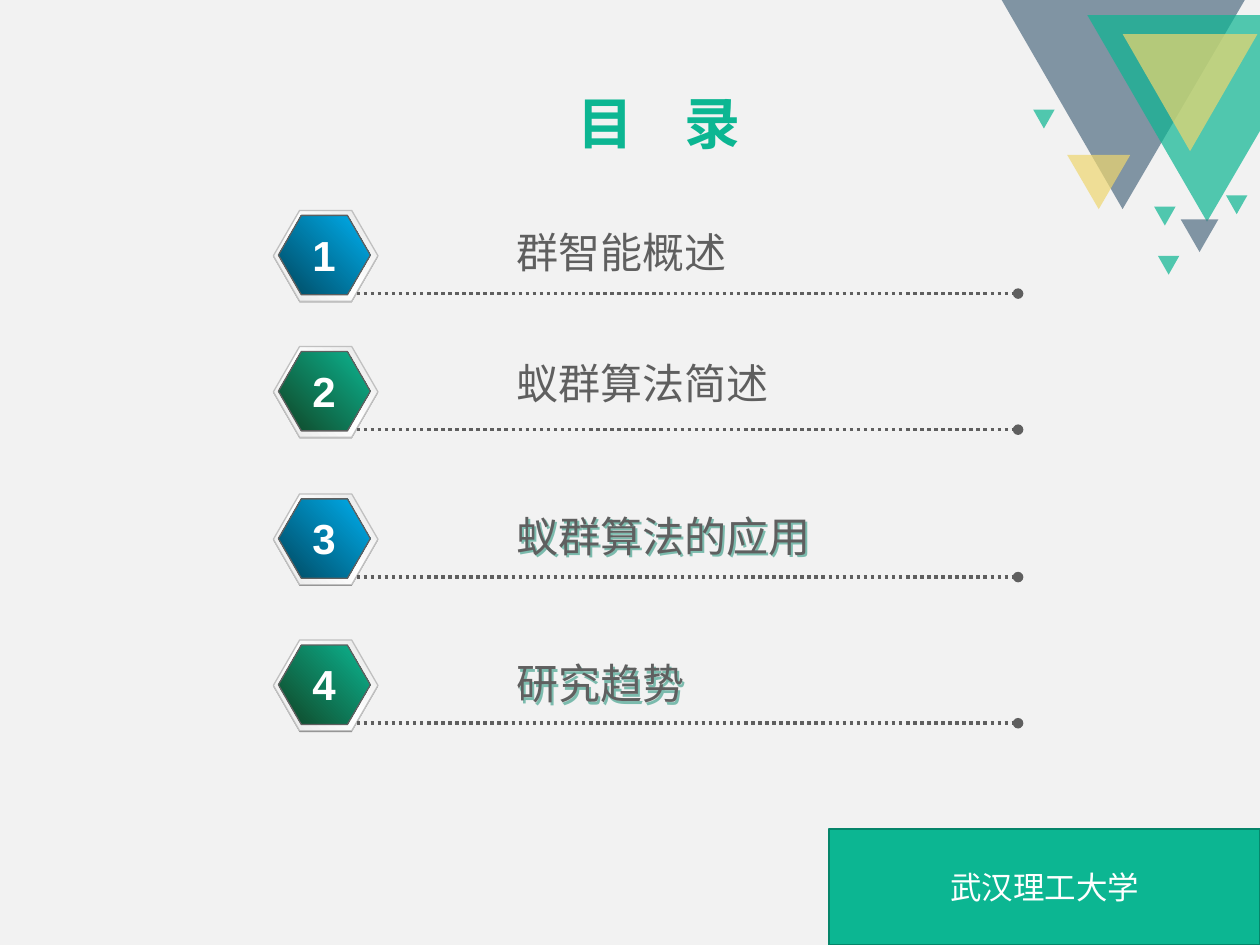
from pptx import Presentation
from pptx.dml.color import RGBColor
from pptx.enum import dml, shapes, text
from pptx.oxml import ns, xmlchemy
from pptx.util import Inches, Pt
from copy import deepcopy

BACKDROP = RGBColor(0xF2, 0xF2, 0xF2)
GREEN = RGBColor(0x0C, 0xB6, 0x92)
DARK_GREEN = RGBColor(0x10, 0x44, 0x25)
EDGE_GREEN = RGBColor(0x06, 0x85, 0x6A)
BLUE = RGBColor(0x00, 0xB0, 0xF0)
DARK_BLUE = RGBColor(0x00, 0x47, 0x5E)
SLATE = RGBColor(0x51, 0x6D, 0x82)
YELLOW = RGBColor(0xEE, 0xD6, 0x6F)
GREY = RGBColor(0x5F, 0x5F, 0x5F)
MID_GREY = RGBColor(0x80, 0x80, 0x80)
RIM_LINE = RGBColor(0xC0, 0xC0, 0xC0)
RIM = RGBColor(0xE6, 0xE6, 0xE6)
WHITE = RGBColor(0xFF, 0xFF, 0xFF)
HAN, LATIN = "Noto Sans CJK SC", "Arial"


def add_child(parent, tag, **attributes):
    child = xmlchemy.OxmlElement(tag)
    for key, value in attributes.items():
        child.set(key, str(value))
    parent.append(child)
    return child


def format_runs(paragraph, font_name, size, color, bold=False):
    for run in paragraph.runs:
        font = run.font
        font.name, font.size, font.bold = font_name, Pt(size), bold
        font.color.rgb = color
        add_child(run._r.get_or_add_rPr(), "a:ea", typeface=font_name)


def fill_translucent(shape, color):
    shape.shadow.inherit = False
    shape.fill.solid()
    shape.fill.fore_color.rgb = color
    shape.line.fill.background()
    srgb = shape._element.spPr.find(".//" + ns.qn("a:srgbClr"))
    add_child(srgb, "a:alpha", val=70000)


def fill_gradient(shape, colors):
    """Spread the colours evenly from bottom left to top right."""
    shape.fill.gradient()
    shape.fill.gradient_angle = 45
    stops = shape._element.spPr.find(".//" + ns.qn("a:gsLst"))
    while len(stops) < len(colors):
        stops.append(deepcopy(stops[-1]))
    for index, (stop, color) in enumerate(zip(shape.fill.gradient_stops, colors)):
        stop.color.rgb = color
        stop.position = index / (len(colors) - 1)


def add_corner_triangles(slide, left, top):
    cluster = slide.shapes.add_group_shape().shapes
    outlines = [
        (SLATE, [(0, 0), (1.93, 0), (0.96, 1.66)]),
        (GREEN, [(0.68, 0.12), (2.05, 0.12), (2.05, 1.04), (1.63, 1.76)]),
    ]
    for color, points in outlines:
        start, *rest = [(left + Inches(x), top + Inches(y)) for x, y in points]
        builder = cluster.build_freeform(*start)
        builder.add_line_segments(rest)
        fill_translucent(builder.convert_to_shape(), color)

    small = (0.17, 0.15)
    triangles = [
        (YELLOW, 0.96, 0.27, 1.07, 0.93),
        (YELLOW, 0.52, 1.23, 0.5, 0.43),
        (GREEN, 1.78, 1.55, *small),
        (GREEN, 1.24, 2.03, *small),
        (GREEN, 1.21, 1.64, *small),
        (SLATE, 1.42, 1.74, 0.3, 0.26),
        (GREEN, 0.25, 0.87, *small),
    ]
    for color, x, y, width, height in triangles:
        triangle = cluster.add_shape(
            shapes.MSO_SHAPE.ISOSCELES_TRIANGLE,
            left + Inches(x), top + Inches(y), Inches(width), Inches(height))
        triangle.rotation = 180
        fill_translucent(triangle, color)


def add_heading(slide, left, top, width, height):
    title = slide.shapes.title
    title.left, title.top, title.width, title.height = left, top, width, height
    frame = title.text_frame
    frame.vertical_anchor = text.MSO_ANCHOR.BOTTOM
    paragraph = frame.paragraphs[0]
    paragraph.alignment = text.PP_ALIGN.CENTER
    paragraph.line_spacing = 0.9
    for part in ("目 ", "录"):
        paragraph.add_run().text = part
    format_runs(paragraph, HAN, 32, GREEN, bold=True)
    # Letter spacing widens the gap between the two characters
    paragraph.runs[0]._r.get_or_add_rPr().set("spc", "1080")


def add_hexagon(badge, left, top, width, height):
    hexagon = badge.add_shape(shapes.MSO_SHAPE.HEXAGON, left, top, width, height)
    hexagon.shadow.inherit = False
    hexagon.adjustments[0], hexagon.adjustments[1] = 0.289, 1.155
    return hexagon


def add_badge(slide, left, top, number, colors):
    """Numbered hexagon with the dotted rule that runs from its foot."""
    badge = slide.shapes.add_group_shape().shapes
    size = Inches(0.83), Inches(0.72)
    under = add_hexagon(badge, left, top + Inches(0.01), *size)
    under.fill.solid()
    under.fill.fore_color.rgb = MID_GREY
    under.line.fill.background()

    rim = add_hexagon(badge, left, top, *size)
    fill_gradient(rim, (RIM, WHITE, RIM))
    core = add_hexagon(badge, left + Inches(0.04), top + Inches(0.04),
                       Inches(0.73), Inches(0.63))
    fill_gradient(core, colors)
    for hexagon, color in ((rim, RIM_LINE), (core, GREY)):
        hexagon.line.color.rgb = color
        hexagon.line.width = Pt(0.75)

    y = top + Inches(0.66)
    rule = badge.add_connector(shapes.MSO_CONNECTOR.STRAIGHT,
                               left + Inches(0.66), y, left + Inches(5.91), y)
    rule.line.color.rgb = GREY
    rule.line.width = Pt(2)
    rule.line.dash_style = dml.MSO_LINE.ROUND_DOT
    add_child(rule.line._get_or_add_ln(), "a:tailEnd", type="oval")
    add_child(rule._element.spPr, "a:effectLst")

    digit = badge.add_textbox(left + Inches(0.21), top + Inches(0.1),
                              Inches(0.38), Inches(0.5)).text_frame
    digit.word_wrap = False
    digit.text = str(number)
    digit.paragraphs[0].alignment = text.PP_ALIGN.CENTER
    format_runs(digit.paragraphs[0], LATIN, 24, WHITE, bold=True)


def add_topic(slide, left, top, topic, shadowed):
    box = slide.shapes.add_textbox(left, top, Inches(3.6), Inches(0.5))
    box.text_frame.word_wrap = True
    box.text_frame.text = topic
    format_runs(box.text_frame.paragraphs[0], HAN, 24, GREY)
    if shadowed:
        effects = add_child(box._element.spPr, "a:effectLst")
        shadow = add_child(effects, "a:outerShdw", dist=Pt(2), dir=2700000,
                           algn="ctr", rotWithShape=0)
        color = add_child(shadow, "a:srgbClr", val=EDGE_GREEN)
        add_child(color, "a:alpha", val=50000)


def add_contents(slide, left):
    rows = [
        ("群智能概述", 1.67, 1.75, False),
        ("蚁群算法简述", 2.75, 2.79, False),
        ("蚁群算法的应用", 3.92, 4, True),
        ("研究趋势", 5.08, 5.17, True),
    ]
    for number, (topic, badge_top, topic_top, shadowed) in enumerate(rows, 1):
        colors = (DARK_BLUE, BLUE) if number % 2 else (DARK_GREEN, GREEN)
        add_badge(slide, left, Inches(badge_top), number, colors)
        add_topic(slide, left + Inches(1.83), Inches(topic_top), topic, shadowed)


def add_university(slide, left, top, width, height):
    panel = slide.shapes.add_shape(shapes.MSO_SHAPE.RECTANGLE, left, top, width, height)
    panel.shadow.inherit = False
    panel.fill.solid()
    panel.fill.fore_color.rgb = GREEN
    panel.line.color.rgb = EDGE_GREEN
    panel.line.width = Pt(1)
    frame = panel.text_frame
    frame.text = "武汉理工大学"
    frame.vertical_anchor = text.MSO_ANCHOR.MIDDLE
    frame.paragraphs[0].alignment = text.PP_ALIGN.CENTER
    format_runs(frame.paragraphs[0], HAN, 18, WHITE)


def main():
    deck = Presentation()
    deck.slide_width, deck.slide_height = Inches(10), Inches(7.5)
    slide = deck.slides.add_slide(deck.slide_layouts[5])
    slide.background.fill.solid()
    slide.background.fill.fore_color.rgb = BACKDROP
    add_corner_triangles(slide, Inches(7.95), 0)
    add_heading(slide, Inches(1.42), Inches(0.42), Inches(7.62), Inches(0.87))
    add_contents(slide, Inches(2.17))
    add_university(slide, Inches(6.58), Inches(6.58), Inches(3.42), Inches(0.92))
    deck.save("out.pptx")


if __name__ == "__main__":
    main()
